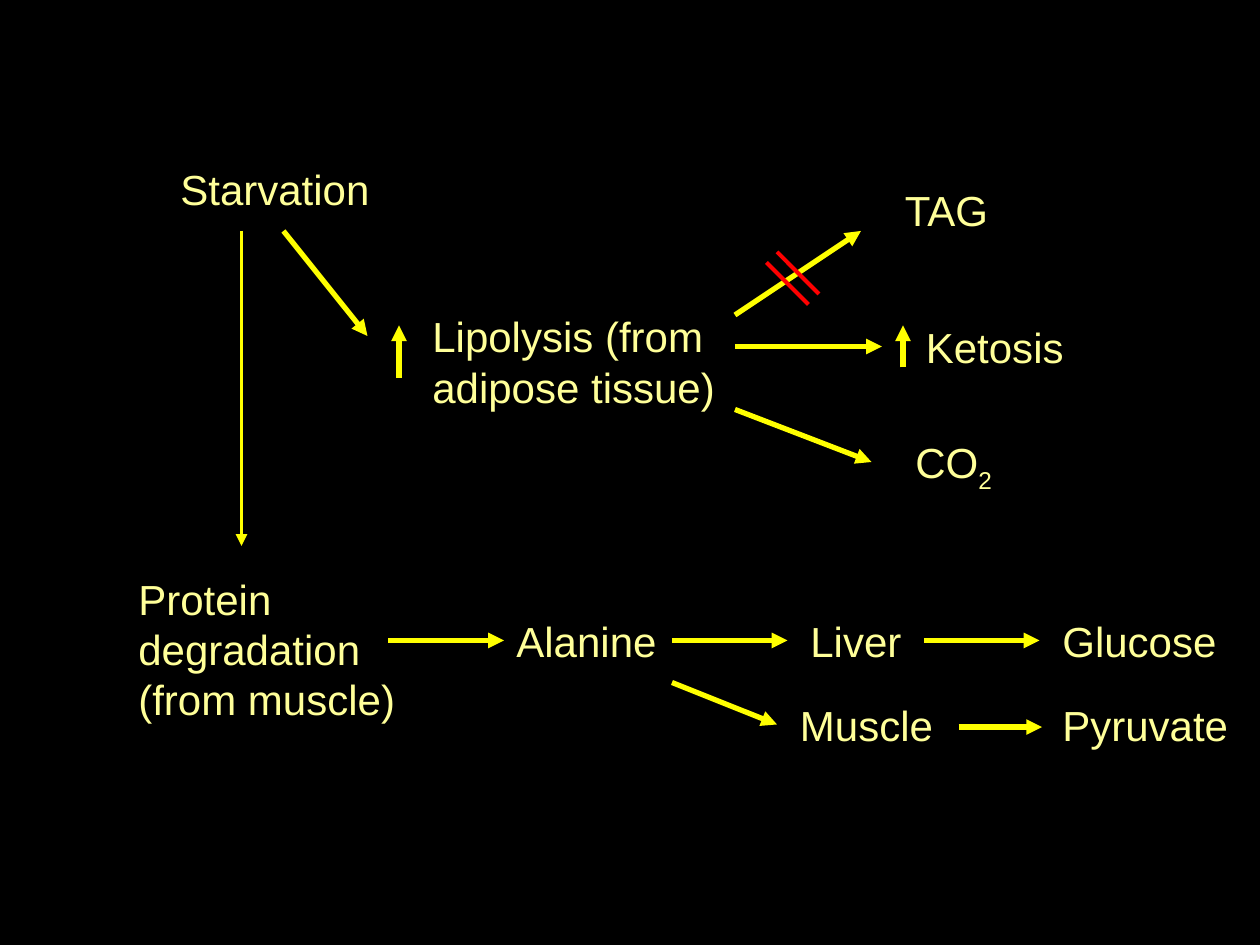
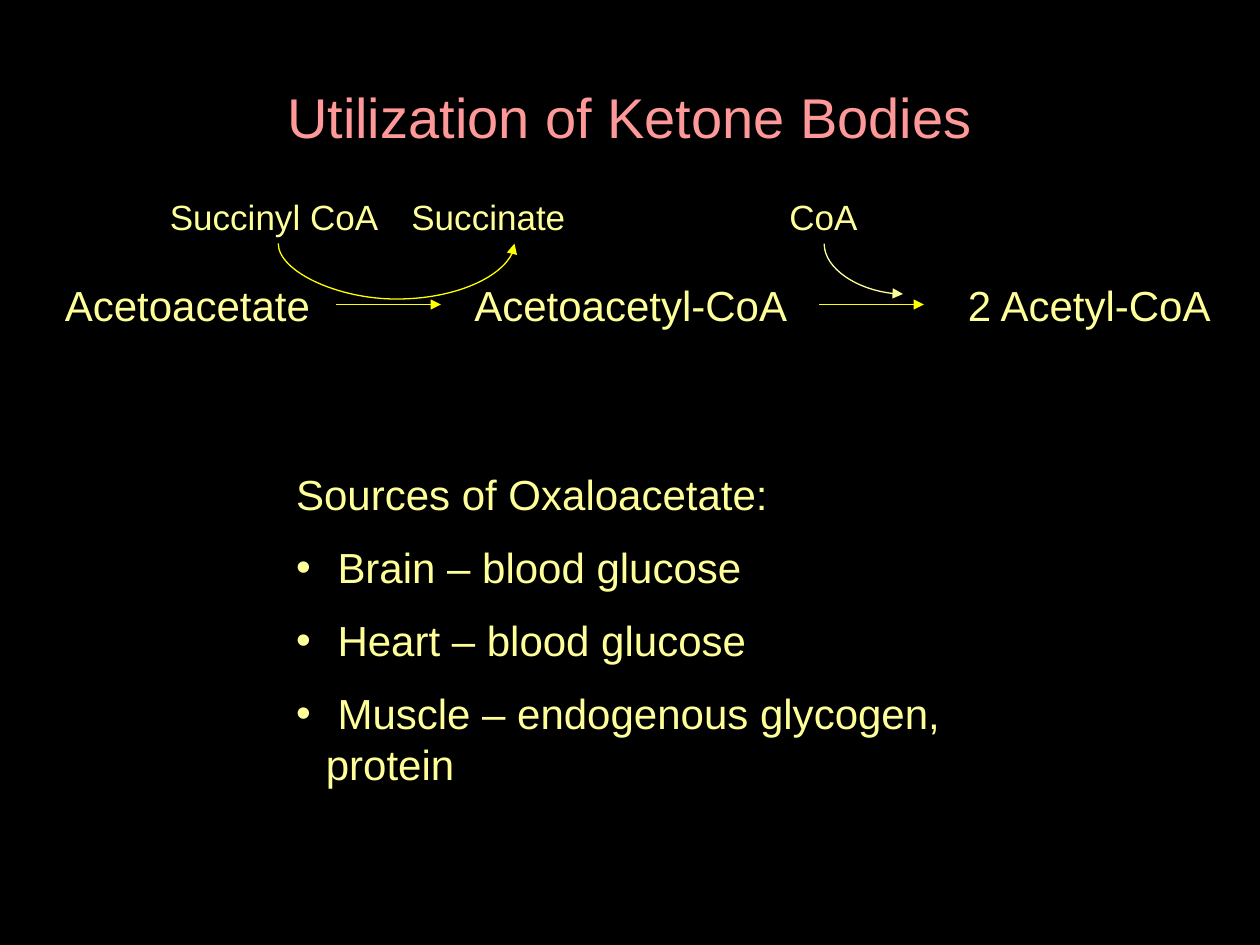
from lxml.etree import SubElement
from pptx import Presentation
from pptx.dml.color import RGBColor
from pptx.enum.shapes import MSO_CONNECTOR as Link
from pptx.enum.text import MSO_AUTO_SIZE as AutoSize, MSO_ANCHOR as Anchor, PP_ALIGN as Align
from pptx.oxml.ns import qn
from pptx.util import Cm, Pt

BLACK, YELLOW, CREAM, PINK, RED = "000000", "FFFF00", "FFFF99", "FF9999", "FF0000"
FONT = "Arial"
SLIDE_WIDTH, SLIDE_HEIGHT = 25.4, 19.05
GRID = SLIDE_WIDTH / 120
LINE_HEIGHT = {24: 4.8, 20: 4}
PADDING = 1.2

STARVATION_LABELS = [
    ("Starvation", 16, 15, 28, 1),
    ("Lipolysis (from adipose tissue)", 40, 29, 31, 2),
    ("Ketosis", 87, 30, 26, 1),
    ("CO_2", 86, 41, 12, 1),
    ("TAG", 85, 17, 12, 1),
    ("Protein degradation (from muscle)", 12, 54, 31, 3),
    ("Liver", 76, 58, 13, 1),
    ("Alanine", 48, 58, 16, 1),
    ("Glucose", 100, 58, 18, 1),
    ("Muscle", 75, 66, 16, 1),
    ("Pyruvate", 100, 66, 20, 1),
]
PATHWAY_ARROWS = [
    ((27, 22), (35, 32)),
    ((70, 33), (84, 33)),
    ((70, 39), (83, 44)),
    ((70, 30), (82, 22)),
    ((37, 61), (48, 61)),
    ((64, 65), (74, 69)),
    ((64, 61), (75, 61)),
    ((88, 61), (99, 61)),
    ((91.3, 69.25), (99.25, 69.25)),
]
INCREASE_ARROWS = [((38, 36), (38, 31)), ((86, 35), (86, 31))]
PROTEIN_ARROW = ((23, 22), (23, 52))
BLOCK_MARKS = [((74, 24), (78, 28)), ((73, 25), (77, 29))]

KETONE_TITLE = "Utilization of Ketone Bodies"
KETONE_LABELS = [
    ("Acetoacetate", 5, 26, 28, 1),
    ("Acetoacetyl-CoA", 44, 26, 35, 1),
    ("2 Acetyl-CoA", 91, 26, 29, 1),
]
COFACTOR_LABELS = [
    ("Succinyl CoA", 15, 18, 23, 1),
    ("Succinate", 38, 18, 22, 1),
    ("CoA", 74, 18, 9, 1),
]
REACTION_ARROWS = [((32, 29), (42, 29)), ((78, 29), (88, 29))]
COFACTOR_SWAP = ((26.5, 23.2), (49, 23.2))
COFACTOR_ENTRY = ((78.5, 23.2), (86, 28))
SWAP_DEPTH = 5.6
OXALOACETATE_HEADING = "Sources of Oxaloacetate:"
OXALOACETATE_SOURCES = [
    " Brain – blood glucose",
    " Heart – blood glucose",
    " Muscle – endogenous glycogen, protein",
]


def grid(steps):
    return Cm(GRID * steps)


def color(value):
    return RGBColor.from_string(value)


def apply(target, values):
    for key, value in values.items():
        setattr(target, key, value)


def place(target, left, top, width, height):
    apply(target, dict(left=grid(left), top=grid(top), width=grid(width), height=grid(height)))


def write(paragraph, text, size=24, tint=CREAM):
    base, _, subscript = text.partition("_")
    for part in filter(None, (base, subscript)):
        run = paragraph.add_run()
        run.text = part
        apply(run.font, dict(name=FONT, size=Pt(size)))
        run.font.color.rgb = color(tint)
        if part == subscript:
            run.font._element.set("baseline", "-25000")


def add_labels(slide, labels, size=24):
    joints = {}
    for text, left, top, width, lines in labels:
        height = PADDING + LINE_HEIGHT[size] * lines
        label = slide.shapes.add_textbox(*map(grid, (left, top, width, height)))
        apply(label.text_frame, dict(word_wrap=True, auto_size=AutoSize.SHAPE_TO_FIT_TEXT))
        write(label.text_frame.paragraphs[0], text, size)
        middle, center = top + height / 2, left + width / 2
        sides = [(center, top), (left, middle), (center, top + height), (left + width, middle)]
        for side, (x, y) in enumerate(sides):
            joints[round(x, 2), round(y, 2)] = (label, side)
    return joints


def add_link(slide, start, end, joints, weight, tint=YELLOW, head=True, kind=Link.STRAIGHT):
    link = slide.shapes.add_connector(kind, *map(grid, start + end))
    for point, connect in ((start, link.begin_connect), (end, link.end_connect)):
        if point in joints:
            connect(*joints[point])
    link.line.width = Pt(weight)
    link.line.color.rgb = color(tint)
    if head:
        SubElement(link.line._get_or_add_ln(), qn("a:tailEnd"), type="triangle")
    SubElement(link._element.spPr, qn("a:effectLst"))
    return link


def add_curve(slide, start, end, joints, tint, depth=None):
    link = add_link(slide, start, end, joints, 0.75, tint, kind=Link.CURVE)
    (x1, y1), (x2, y2) = start, end
    across, drop = x2 - x1, max(y2 - y1, 0.02)
    place(link, (x1 + x2 - drop) / 2, (y1 + y2 - across) / 2, drop, across)
    properties = link._element.spPr
    for key, value in dict(rot="16200000", flipH="1", flipV="0").items():
        properties.xfrm.set(key, value)
    outline = properties.find(qn("a:prstGeom"))
    if depth is None:
        outline.set("prst", "curvedConnector2")
    else:
        adjustments = outline.find(qn("a:avLst"))
        if adjustments is None:
            adjustments = SubElement(outline, qn("a:avLst"))
        SubElement(adjustments, qn("a:gd"), name="adj1", fmla=f"val {round(depth / drop * 100000)}")


def add_sources(body):
    place(body, 27, 44, 65, 32.4)
    frame = body.text_frame
    apply(frame, dict(word_wrap=True, auto_size=AutoSize.NONE, vertical_anchor=Anchor.TOP))
    for index, text in enumerate([OXALOACETATE_HEADING] + OXALOACETATE_SOURCES):
        paragraph = frame.add_paragraph() if index else frame.paragraphs[0]
        apply(paragraph, dict(space_before=Pt(13 if index else 0), alignment=Align.LEFT))
        write(paragraph, text)
        properties = paragraph._element.get_or_add_pPr()
        hang = Cm(0.6) if index else 0
        properties.set("marL", str(hang))
        properties.set("indent", str(-hang))
        if index:
            SubElement(properties, qn("a:buFont"), typeface=FONT)
            SubElement(properties, qn("a:buChar"), char="•")
        else:
            SubElement(properties, qn("a:buNone"))


def build_starvation(deck):
    slide = deck.slides.add_slide(deck.slide_layouts[6])
    joints = add_labels(slide, STARVATION_LABELS)
    for start, end in PATHWAY_ARROWS + INCREASE_ARROWS:
        add_link(slide, start, end, joints, 3)
    add_link(slide, *PROTEIN_ARROW, joints, 2.25)
    for start, end in BLOCK_MARKS:
        add_link(slide, start, end, joints, 2.25, RED, head=False)


def build_ketone_use(deck):
    slide = deck.slides.add_slide(deck.slide_layouts[1])
    title, sources = slide.placeholders
    place(title, 6, 3.6, 108, 15)
    title.text_frame.vertical_anchor = Anchor.MIDDLE
    heading = title.text_frame.paragraphs[0]
    heading.alignment = Align.CENTER
    write(heading, KETONE_TITLE, 32, PINK)
    add_sources(sources)
    joints = add_labels(slide, KETONE_LABELS) | add_labels(slide, COFACTOR_LABELS, 20)
    for start, end in REACTION_ARROWS:
        add_link(slide, start, end, joints, 0.75)
    add_curve(slide, *COFACTOR_SWAP, joints, YELLOW, SWAP_DEPTH)
    add_curve(slide, *COFACTOR_ENTRY, joints, CREAM)


def main():
    deck = Presentation()
    apply(deck, dict(slide_width=Cm(SLIDE_WIDTH), slide_height=Cm(SLIDE_HEIGHT)))
    backdrop = deck.slide_master.background.fill
    backdrop.solid()
    backdrop.fore_color.rgb = color(BLACK)
    build_starvation(deck)
    build_ketone_use(deck)
    deck.save("out.pptx")


if __name__ == "__main__":
    main()
